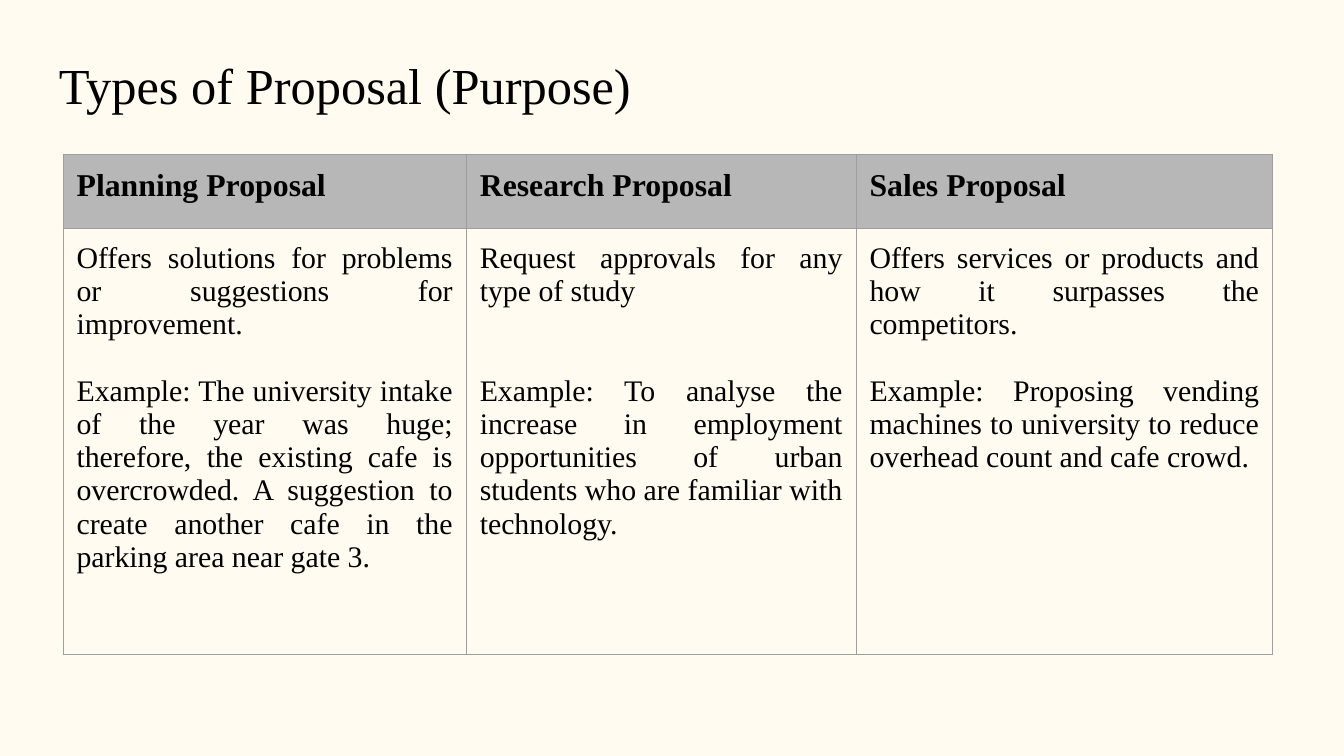
from dataclasses import dataclass

from lxml.etree import SubElement
from pptx import Presentation
from pptx.dml.color import RGBColor
from pptx.enum.text import MSO_ANCHOR as Anchor, PP_ALIGN as Align
from pptx.oxml.ns import qn
from pptx.util import Inches, Pt


@dataclass(frozen=True)
class Theme:
    font: str = "Times New Roman"
    background: str = "FFFBF0"
    ink: str = "000000"
    header_fill: str = "B7B7B7"
    border: str = "9E9E9E"
    border_pt: float = 0.75
    title_pt: int = 27
    header_pt: int = 17
    body_pt: int = 16
    line_pt: float = 17.8  # height of one body line


@dataclass(frozen=True)
class Proposal:
    name: str
    purpose: str
    example: str
    width: float
    gap_lines: int = 1


THEME = Theme()
PADDING = Inches(0.1)
SLIDE_WIDTH = Inches(10)
SLIDE_HEIGHT = SLIDE_WIDTH * 9 // 16
ROW_HEIGHTS = (0.55, 3.17)

PROPOSALS = (
    Proposal(
        "Planning Proposal",
        "Offers solutions for problems or suggestions for improvement.",
        "Example: The university intake of the year was huge; therefore, the "
        "existing cafe is overcrowded. A suggestion to create another cafe in "
        "the parking area near gate 3.",
        3.0,
    ),
    Proposal(
        "Research Proposal",
        "Request approvals for any type of study",
        "Example: To analyse the increase in employment opportunities of urban "
        "students who are familiar with technology.",
        2.9,
        gap_lines=2,
    ),
    Proposal(
        "Sales Proposal",
        "Offers services or products and how it surpasses the competitors.",
        "Example: Proposing vending machines to university to reduce overhead "
        "count and cafe crowd.",
        3.1,
    ),
)


def write(paragraph, text: str, size: int, bold: bool = False,
          align: Align = Align.LEFT, before: float = 0) -> None:
    paragraph.alignment = align
    if before:
        paragraph.space_before = Pt(before)
    run = paragraph.add_run()
    run.text = text
    formats = {"name": THEME.font, "size": Pt(size), "bold": bold}
    for attribute, value in formats.items():
        setattr(run.font, attribute, value)
    run.font.color.rgb = RGBColor.from_string(THEME.ink)


def set_margins(holder) -> None:
    for side in ("left", "right", "top", "bottom"):
        setattr(holder, f"margin_{side}", PADDING)


def add_borders(cell) -> None:
    properties = cell._tc.get_or_add_tcPr()
    for side in ("lnL", "lnR", "lnT", "lnB"):
        line = SubElement(properties, qn(f"a:{side}"), w=str(Pt(THEME.border_pt)))
        fill = SubElement(line, qn("a:solidFill"))
        SubElement(fill, qn("a:srgbClr"), val=THEME.border)


def add_title(slide, text: str) -> None:
    title = slide.shapes.add_textbox(
        Inches(0.34), Inches(0.29), Inches(9.32), Inches(0.67)).text_frame
    title.word_wrap = True
    title.vertical_anchor = Anchor.MIDDLE
    set_margins(title)
    write(title.paragraphs[0], text, THEME.title_pt)


def add_proposal_table(slide, proposals: tuple[Proposal, ...]) -> None:
    table = slide.shapes.add_table(
        len(ROW_HEIGHTS), len(proposals), Inches(0.47), Inches(1.15),
        Inches(sum(p.width for p in proposals)), Inches(sum(ROW_HEIGHTS))).table
    table.first_row = table.horz_banding = False
    for row, height in zip(table.rows, ROW_HEIGHTS):
        row.height = Inches(height)

    for column, proposal in enumerate(proposals):
        table.columns[column].width = Inches(proposal.width)
        header, body = table.cell(0, column), table.cell(1, column)
        for cell in (header, body):
            set_margins(cell)
            add_borders(cell)

        # Header
        header.fill.solid()
        header.fill.fore_color.rgb = RGBColor.from_string(THEME.header_fill)
        write(header.text_frame.paragraphs[0], proposal.name, THEME.header_pt, bold=True)

        # Purpose and example
        body.fill.background()
        write(body.text_frame.paragraphs[0], proposal.purpose, THEME.body_pt,
              align=Align.JUSTIFY)
        write(body.text_frame.add_paragraph(), proposal.example, THEME.body_pt,
              align=Align.JUSTIFY, before=proposal.gap_lines * THEME.line_pt)


def main() -> None:
    deck = Presentation()
    deck.slide_width, deck.slide_height = SLIDE_WIDTH, SLIDE_HEIGHT
    slide = deck.slides.add_slide(deck.slide_layouts[6])
    slide.background.fill.solid()
    slide.background.fill.fore_color.rgb = RGBColor.from_string(THEME.background)
    add_title(slide, "Types of Proposal (Purpose)")
    add_proposal_table(slide, PROPOSALS)
    deck.save("out.pptx")


if __name__ == "__main__":
    main()
